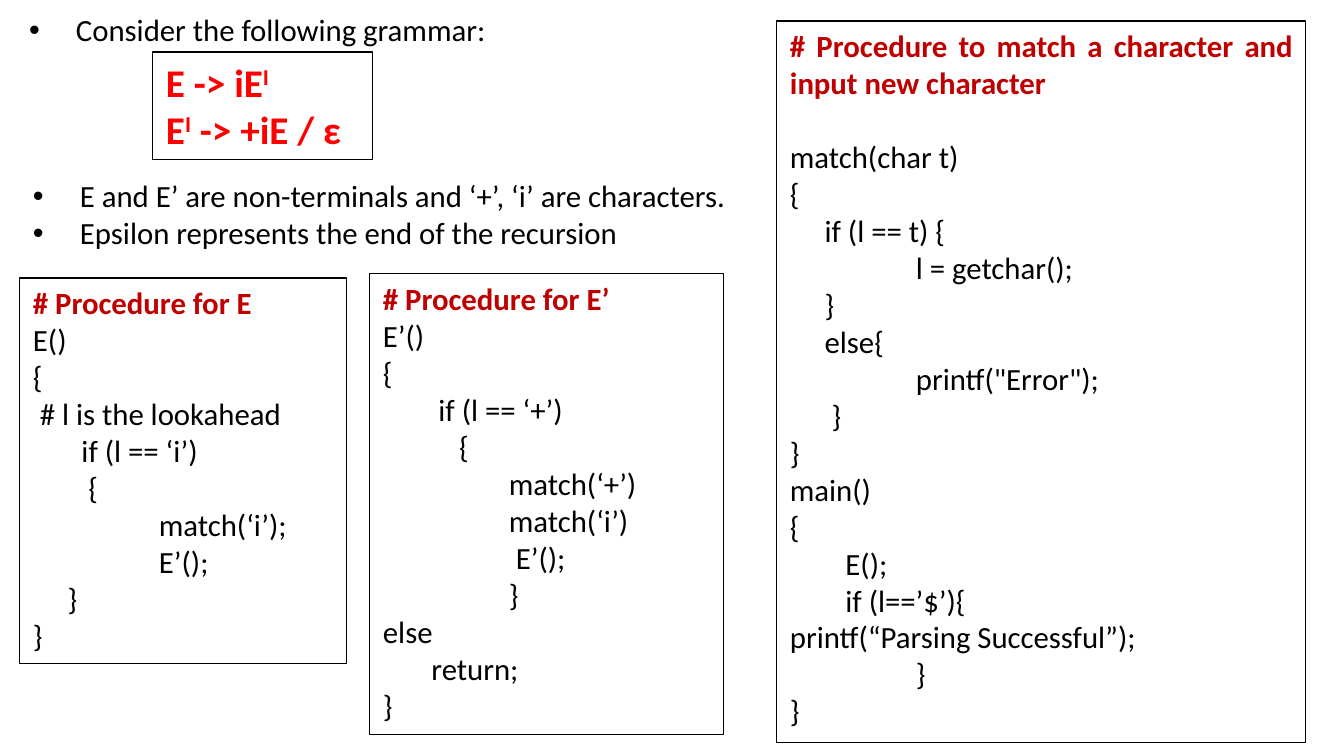
from lxml import etree
from pptx import Presentation
from pptx.dml.color import RGBColor
from pptx.enum.shapes import MSO_SHAPE
from pptx.enum.text import MSO_ANCHOR, PP_ALIGN
from pptx.oxml.ns import qn
from pptx.util import Pt

EMU_PER_PX = 914400 / 100.8
BLACK = RGBColor(0x00, 0x00, 0x00)
RED = RGBColor(0xFF, 0x00, 0x00)
DARK_RED = RGBColor(0xC0, 0x00, 0x00)
RECTANGLE = MSO_SHAPE.RECTANGLE
TOP = MSO_ANCHOR.TOP
LEFT = PP_ALIGN.LEFT
JUSTIFY = PP_ALIGN.JUSTIFY

FONT = "Calibri"
BODY_PT = 22
GRAMMAR_PT = 28
INSET_X, INSET_Y = 13, 6
BULLET_INDENT = 47
TAB_STOP = 126
LINE_HEIGHT = 37

GRAMMAR = [
    [("E -> iE", False), ("I", True)],
    [("E", False), ("I", True), (" -> +iE / ε", False)],
]

PROCEDURE_E = """E()
{
 # l is the lookahead
       if (l == ‘i’)
        {
\tmatch(‘i’);
\tE’();
     }
}"""

PROCEDURE_E_PRIME = """E’()
{
        if (l == ‘+’)
           {
\tmatch(‘+’)
\tmatch(‘i’)
\t E’();
\t}
else
       return;
}"""

PROCEDURE_MATCH = """match(char t)
{
     if (l == t) {
\tl = getchar();
     }
     else{
\tprintf("Error");
      }
}
main()
{
        E();
        if (l==’$’){
printf(“Parsing Successful”);
\t}
}"""


def px(length):
    """Turn a length in px into EMU."""
    return round(length * EMU_PER_PX)


def prepare_frame(frame):
    """Set wrapping, anchor and insets of a text frame."""
    frame.word_wrap = True
    frame.vertical_anchor = TOP
    frame.margin_left = frame.margin_right = px(INSET_X)
    frame.margin_top = frame.margin_bottom = px(INSET_Y)
    return frame


def paragraph_at(frame, index):
    """Return the first paragraph, or a new one for later indexes."""
    return frame.paragraphs[0] if index == 0 else frame.add_paragraph()


def add_run(paragraph, text, color=BLACK, size=BODY_PT, bold=False):
    """Add one formatted run to a paragraph."""
    run = paragraph.add_run()
    run.text = text
    run.font.name = FONT
    run.font.size = Pt(size)
    run.font.bold = bold
    run.font.color.rgb = color
    return run


def add_bullets(slide, box, statements):
    """Place a bulleted list in the box."""
    bullets = slide.shapes.add_textbox(*map(px, box))
    frame = prepare_frame(bullets.text_frame)
    for index, statement in enumerate(statements):
        paragraph = paragraph_at(frame, index)
        properties = paragraph._p.get_or_add_pPr()
        properties.set("marL", str(px(BULLET_INDENT)))
        properties.set("indent", str(-px(BULLET_INDENT)))
        etree.SubElement(properties, qn("a:buFont"), typeface="Arial")
        etree.SubElement(properties, qn("a:buChar"), char="•")
        add_run(paragraph, statement)


def add_outlined_frame(slide, box):
    """Draw a thin black rectangle and return its text frame."""
    outline = slide.shapes.add_shape(RECTANGLE, *map(px, box))
    outline.shadow.inherit = False
    outline.fill.background()
    outline.line.color.rgb = BLACK
    outline.line.width = Pt(0.75)
    return prepare_frame(outline.text_frame)


def add_grammar(slide, box):
    """Place the grammar rules with raised primes in the box."""
    frame = add_outlined_frame(slide, box)
    for index, rule in enumerate(GRAMMAR):
        paragraph = paragraph_at(frame, index)
        paragraph.alignment = LEFT
        for symbols, raised in rule:
            run = add_run(paragraph, symbols, RED, GRAMMAR_PT, True)
            if raised:
                run.font._element.set("baseline", "30000")


def add_procedure(slide, box, heading, code, alignment=LEFT, gap=0):
    """Place a heading and its code listing in the box."""
    frame = add_outlined_frame(slide, box)
    title = frame.paragraphs[0]
    title.alignment = alignment
    title.space_after = px(gap)
    add_run(title, heading, DARK_RED, bold=True)
    for code_line in code.splitlines():
        paragraph = frame.add_paragraph()
        paragraph.alignment = LEFT
        tabs = etree.SubElement(paragraph._p.get_or_add_pPr(), qn("a:tabLst"))
        etree.SubElement(tabs, qn("a:tab"), pos=str(px(TAB_STOP)), algn="l")
        add_run(paragraph, code_line)


def main():
    """Build the slide and save it."""
    deck = Presentation()
    deck.slide_width, deck.slide_height = px(1344), px(756)
    slide = deck.slides.add_slide(deck.slide_layouts[6])
    add_bullets(slide, (16, 5, 740, 50), ["Consider the following grammar:"])
    add_grammar(slide, (153, 52, 220, 108))
    add_procedure(slide, (20, 278, 327, 386), "# Procedure for E", PROCEDURE_E)
    add_procedure(slide, (370, 274, 354, 461), "# Procedure for E’", PROCEDURE_E_PRIME)
    add_bullets(slide, (20, 171, 734, 88), [
        "E and E’ are non-terminals and ‘+’, ‘i’ are characters.",
        "Epsilon represents the end of the recursion",
    ])
    add_procedure(
        slide, (777, 21, 529, 722),
        "# Procedure to match a character and input new character",
        PROCEDURE_MATCH, JUSTIFY, LINE_HEIGHT,
    )
    deck.save("out.pptx")


if __name__ == "__main__":
    main()
